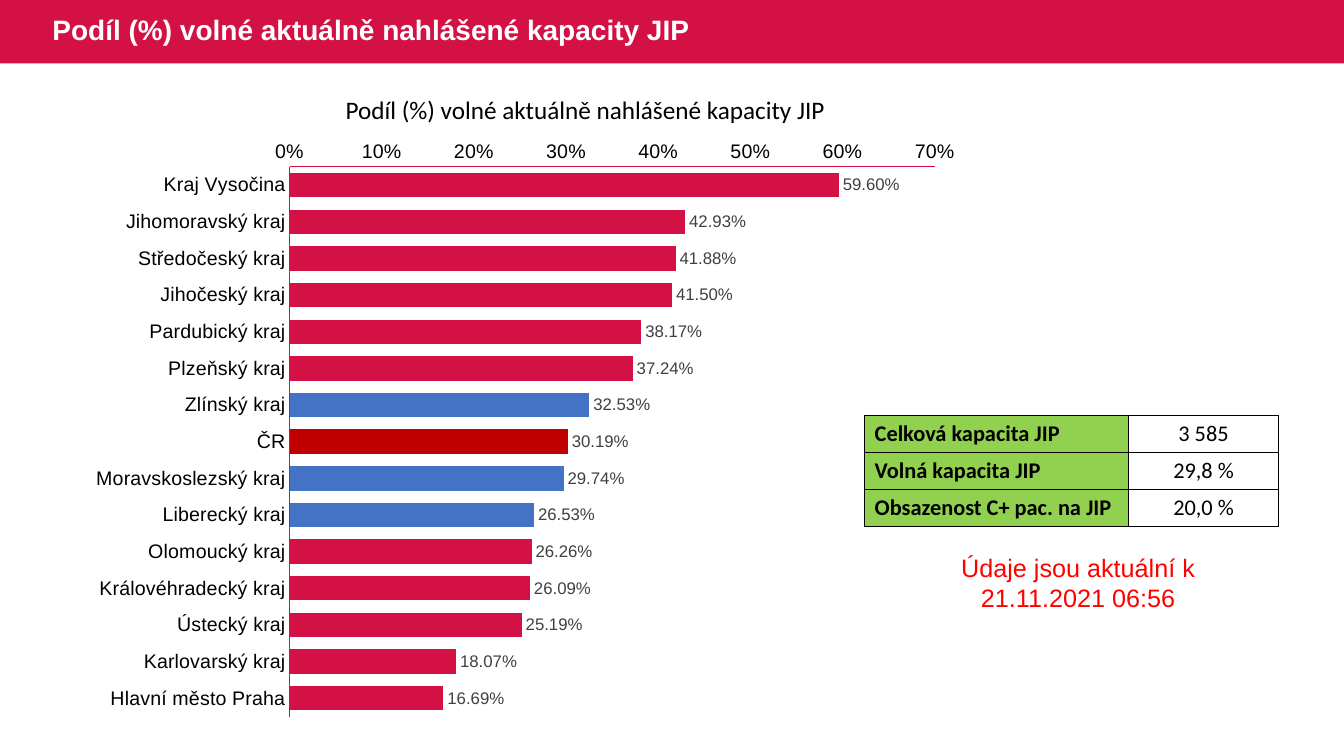
"""Build the slide on the share of free intensive care capacity by region."""
from dataclasses import dataclass
from typing import Any

import lxml.etree
import pptx
import pptx.chart.data
import pptx.dml.color
import pptx.enum.chart
import pptx.enum.shapes
import pptx.enum.text
import pptx.oxml
import pptx.oxml.ns
import pptx.util

Cm = pptx.util.Cm
Pt = pptx.util.Pt
Align = pptx.enum.text.PP_ALIGN
Anchor = pptx.enum.text.MSO_ANCHOR

COLORS = {
    "crimson": "D31145", "blue": "4472C4", "dark_red": "C00000",
    "green": "92D050", "red": "FF0000", "white": "FFFFFF",
    "black": "000000", "gray": "404040",
}
HEADING = "Podíl (%) volné aktuálně nahlášené kapacity JIP"


@dataclass
class Label:
    text: str
    left: float
    top: float
    width: float
    height: float
    color: str
    font: dict[str, Any]
    para: dict[str, Any]
    frame: dict[str, Any]


@dataclass
class Region:
    name: str
    share: float
    color: str = "crimson"


LABELS = [
    Label(HEADING, 1.07, 0, 29.36, 1.6, "white",
          {"size": Pt(20), "name": "Arial", "bold": True},
          {"line_spacing": 0.9},
          {"word_wrap": True, "vertical_anchor": Anchor.MIDDLE}),
    Label(HEADING, 8.46, 2.26, 13.03, 1.02, "black",
          {"size": Pt(18), "name": "Calibri"}, {}, {"word_wrap": False}),
    Label("Údaje jsou aktuální k 21.11.2021 06:56", 23.93, 13.79, 6.48, 1.8, "red",
          {"size": Pt(18), "name": "Arial"},
          {"alignment": Align.CENTER}, {"word_wrap": True}),
]
REGIONS = [
    Region("Kraj Vysočina", 0.5960),
    Region("Jihomoravský kraj", 0.4293),
    Region("Středočeský kraj", 0.4188),
    Region("Jihočeský kraj", 0.4150),
    Region("Pardubický kraj", 0.3817),
    Region("Plzeňský kraj", 0.3724),
    Region("Zlínský kraj", 0.3253, "blue"),
    Region("ČR", 0.3019, "dark_red"),
    Region("Moravskoslezský kraj", 0.2974, "blue"),
    Region("Liberecký kraj", 0.2653, "blue"),
    Region("Olomoucký kraj", 0.2626),
    Region("Královéhradecký kraj", 0.2609),
    Region("Ústecký kraj", 0.2519),
    Region("Karlovarský kraj", 0.1807),
    Region("Hlavní město Praha", 0.1669),
]
CAPACITY = [
    ("Celková kapacita JIP", "3 585"),
    ("Volná kapacita JIP", "29,8 %"),
    ("Obsazenost C+ pac. na JIP", "20,0 %"),
]
PLOT_LAYOUT = {"x": 0.24, "y": 0.06, "w": 0.72, "h": 0.92}


def rgb(name: str) -> pptx.dml.color.RGBColor:
    return pptx.dml.color.RGBColor.from_string(COLORS[name])


def apply(target: Any, values: dict[str, Any]) -> None:
    for name, value in values.items():
        setattr(target, name, value)


def style_font(font: Any, color: str, values: dict[str, Any]) -> None:
    apply(font, values)
    font.color.rgb = rgb(color)


def paint(target: Any, color: str) -> None:
    target.fill.solid()
    target.fill.fore_color.rgb = rgb(color)


def add_banner(page: Any, width: int) -> None:
    banner = page.shapes.add_shape(
        pptx.enum.shapes.MSO_SHAPE.RECTANGLE, 0, 0, width, Cm(1.6))
    banner.shadow.inherit = False
    paint(banner, "crimson")
    banner.line.fill.background()


def add_label(page: Any, label: Label) -> None:
    box = page.shapes.add_textbox(
        Cm(label.left), Cm(label.top), Cm(label.width), Cm(label.height))
    apply(box.text_frame, label.frame)
    para = box.text_frame.paragraphs[0]
    apply(para, label.para)
    span = para.add_run()
    span.text = label.text
    style_font(span.font, label.color, label.font)


def set_plot_layout(chart: Any) -> None:
    qn = pptx.oxml.ns.qn
    plot_area = chart.element.find(".//" + qn("c:plotArea"))
    for old in plot_area.findall(qn("c:layout")):
        plot_area.remove(old)
    layout = pptx.oxml.parse_xml(
        f'<c:layout {pptx.oxml.ns.nsdecls("c")}><c:manualLayout/></c:layout>')
    settings = {"layoutTarget": "inner", "xMode": "edge", "yMode": "edge", **PLOT_LAYOUT}
    for tag, value in settings.items():
        lxml.etree.SubElement(layout[0], qn(f"c:{tag}")).set("val", str(value))
    plot_area.insert(0, layout)


def add_region_chart(page: Any) -> None:
    data = pptx.chart.data.CategoryChartData(number_format="0.00%")
    data.categories = [region.name for region in REGIONS]
    data.add_series("Series 1", [region.share for region in REGIONS])
    chart = page.shapes.add_chart(
        pptx.enum.chart.XL_CHART_TYPE.BAR_CLUSTERED,
        Cm(1.88), Cm(3.3), Cm(22.58), Cm(15.06), data).chart
    apply(chart, {"has_title": False, "has_legend": False})
    style_font(chart.font, "black", {"size": Pt(10), "name": "Arial"})
    for axis in (chart.category_axis, chart.value_axis):
        apply(axis, {"has_major_gridlines": False,
                     "major_tick_mark": pptx.enum.chart.XL_TICK_MARK.NONE,
                     "minor_tick_mark": pptx.enum.chart.XL_TICK_MARK.NONE})
        style_font(axis.tick_labels.font, "black", {"size": Pt(14), "name": "Arial"})
        axis.format.line.width = Pt(0.75)
        axis.format.line.color.rgb = rgb("crimson")
    chart.category_axis.reverse_order = True
    apply(chart.value_axis, {"minimum_scale": 0, "maximum_scale": 0.7, "major_unit": 0.1})
    apply(chart.value_axis.tick_labels,
          {"number_format": "0%", "number_format_is_linked": False})

    plot = chart.plots[0]
    apply(plot, {"gap_width": 50, "vary_by_categories": False, "has_data_labels": True})
    apply(plot.data_labels, {
        "show_value": True, "number_format": "0.00%", "number_format_is_linked": False,
        "position": pptx.enum.chart.XL_LABEL_POSITION.OUTSIDE_END})
    style_font(plot.data_labels.font, "gray", {"size": Pt(12), "name": "Arial"})
    bars = plot.series[0]
    bars.invert_if_negative = False
    paint(bars.format, "crimson")
    for index, region in enumerate(REGIONS):
        if region.color != "crimson":
            paint(bars.points[index].format, region.color)
    set_plot_layout(chart)


def add_borders(cell: Any) -> None:
    properties = cell._tc.get_or_add_tcPr()
    for index, side in enumerate(("lnL", "lnR", "lnT", "lnB")):
        properties.insert(index, pptx.oxml.parse_xml(
            f'<a:{side} {pptx.oxml.ns.nsdecls("a")} w="{int(Pt(0.75))}"><a:solidFill>'
            f'<a:srgbClr val="{COLORS["black"]}"/></a:solidFill></a:{side}>'))


def add_capacity_table(page: Any) -> None:
    table = page.shapes.add_table(
        len(CAPACITY), 2, Cm(21.79), Cm(10.46), Cm(10.42), Cm(2.79)).table
    apply(table, {"first_row": False, "horz_banding": False})
    for column, width in zip(table.columns, (6.66, 3.76)):
        column.width = Cm(width)
    for row, texts in zip(table.rows, CAPACITY):
        row.height = Cm(0.93)
        for index, (cell, text) in enumerate(zip(row.cells, texts)):
            is_name = index == 0
            cell.text = text
            cell.vertical_anchor = Anchor.TOP if is_name else Anchor.MIDDLE
            paint(cell, "green" if is_name else "white")
            para = cell.text_frame.paragraphs[0]
            para.alignment = Align.LEFT if is_name else Align.CENTER
            style_font(para.runs[0].font, "black",
                       {"size": Pt(16), "name": "Calibri", "bold": is_name})
            add_borders(cell)


def main() -> None:
    deck = pptx.Presentation()
    apply(deck, {"slide_width": Cm(33.87), "slide_height": Cm(19.05)})
    page = deck.slides.add_slide(deck.slide_layouts[6])
    add_banner(page, deck.slide_width)
    add_region_chart(page)
    for label in LABELS:
        add_label(page, label)
    add_capacity_table(page)
    deck.save("out.pptx")


if __name__ == "__main__":
    main()
